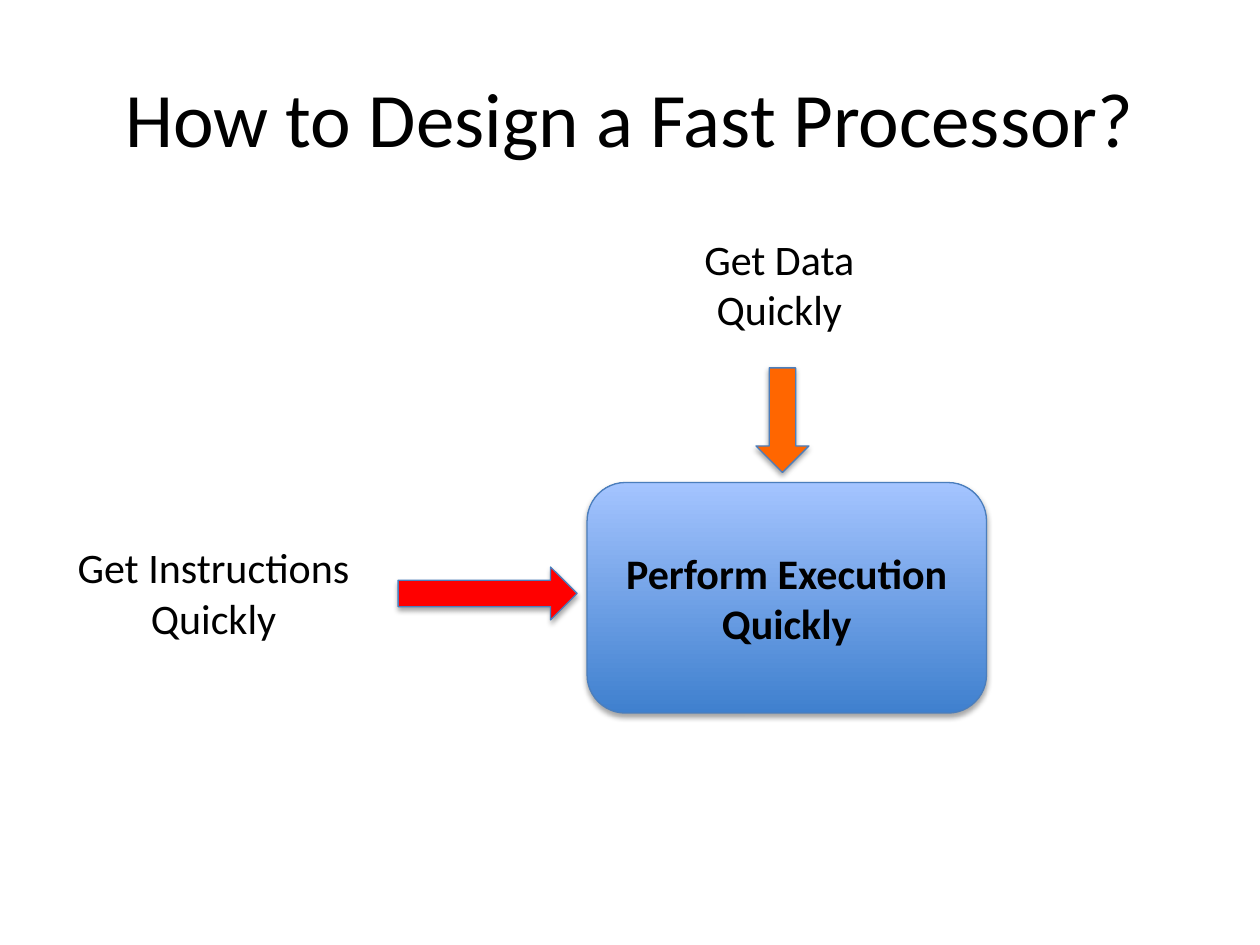
from dataclasses import dataclass

from lxml import etree
from pptx import Presentation
from pptx.dml.color import RGBColor
from pptx.enum.shapes import MSO_SHAPE
from pptx.enum.text import MSO_ANCHOR, PP_ALIGN
from pptx.oxml.ns import qn
from pptx.util import Inches, Pt

ROUNDED = MSO_SHAPE.ROUNDED_RECTANGLE
RIGHT_ARROW = MSO_SHAPE.RIGHT_ARROW
DOWN_ARROW = MSO_SHAPE.DOWN_ARROW
MIDDLE, TOP = MSO_ANCHOR.MIDDLE, MSO_ANCHOR.TOP
CENTER = PP_ALIGN.CENTER


@dataclass(frozen=True)
class Theme:
    font: str = "Calibri"
    text: str = "000000"
    outline: str = "4B7EBC"
    shadow: str = "000000"
    box_bottom: str = "3F80CE"
    box_top: str = "A4C4FF"
    title_size: int = 44
    body_size: int = 24


THEME = Theme()

TITLE = (["How to Design a Fast Processor?"], (0.5, 0.3, 9, 1.25))
EXECUTION = (["Perform Execution Quickly"], (4.66, 3.83, 3.17, 1.83))
LABELS = [
    (["Get Instructions", "Quickly"], (0.5, 4.25, 2.39, 0.91)),
    (["Get Data", "Quickly"], (5.48, 1.8, 1.41, 0.91)),
]
ARROWS = [
    (RIGHT_ARROW, "FF0000", (3.16, 4.5, 1.42, 0.42)),
    (DOWN_ARROW, "FF6600", (6, 2.92, 0.42, 0.83)),
]


def color(value):
    return RGBColor.from_string(value)


def write(shape, lines, size, anchor, bold=False, wrap=True):
    frame = shape.text_frame
    frame.word_wrap = wrap
    frame.vertical_anchor = anchor
    for index, line in enumerate(lines):
        paragraph = frame.add_paragraph() if index else frame.paragraphs[0]
        paragraph.alignment = CENTER
        run = paragraph.add_run()
        run.text = line
        run.font.name = THEME.font
        run.font.size = Pt(size)
        run.font.bold = bold
        run.font.color.rgb = color(THEME.text)


def add_text(slide, lines, box, size, anchor, wrap):
    shape = slide.shapes.add_textbox(*map(Inches, box))
    write(shape, lines, size, anchor, wrap=wrap)


def add_block(slide, kind, box):
    shape = slide.shapes.add_shape(kind, *map(Inches, box))
    shape.line.color.rgb = color(THEME.outline)
    shape.line.width = Pt(0.75)
    shape.shadow.inherit = False
    effects = shape.element.spPr.find(qn("a:effectLst"))
    shadow = etree.SubElement(
        effects, qn("a:outerShdw"), blurRad=str(Pt(3.1)), dist=str(Pt(1.8)),
        dir="5400000", rotWithShape="0")
    tint = etree.SubElement(shadow, qn("a:srgbClr"), val=THEME.shadow)
    etree.SubElement(tint, qn("a:alpha"), val="35000")
    return shape


presentation = Presentation()
presentation.slide_width = Inches(10)
presentation.slide_height = Inches(7.5)
slide = presentation.slides.add_slide(presentation.slide_layouts[6])

add_text(slide, *TITLE, THEME.title_size, MIDDLE, True)

lines, box = EXECUTION
execution = add_block(slide, ROUNDED, box)
execution.fill.gradient()
execution.fill.gradient_angle = 90
for stop, value in zip(execution.fill.gradient_stops,
                       (THEME.box_bottom, THEME.box_top)):
    stop.color.rgb = color(value)
write(execution, lines, THEME.body_size, MIDDLE, bold=True)

for kind, value, box in ARROWS:
    arrow = add_block(slide, kind, box)
    arrow.fill.solid()
    arrow.fill.fore_color.rgb = color(value)

for lines, box in LABELS:
    add_text(slide, lines, box, THEME.body_size, TOP, False)

presentation.save("out.pptx")
